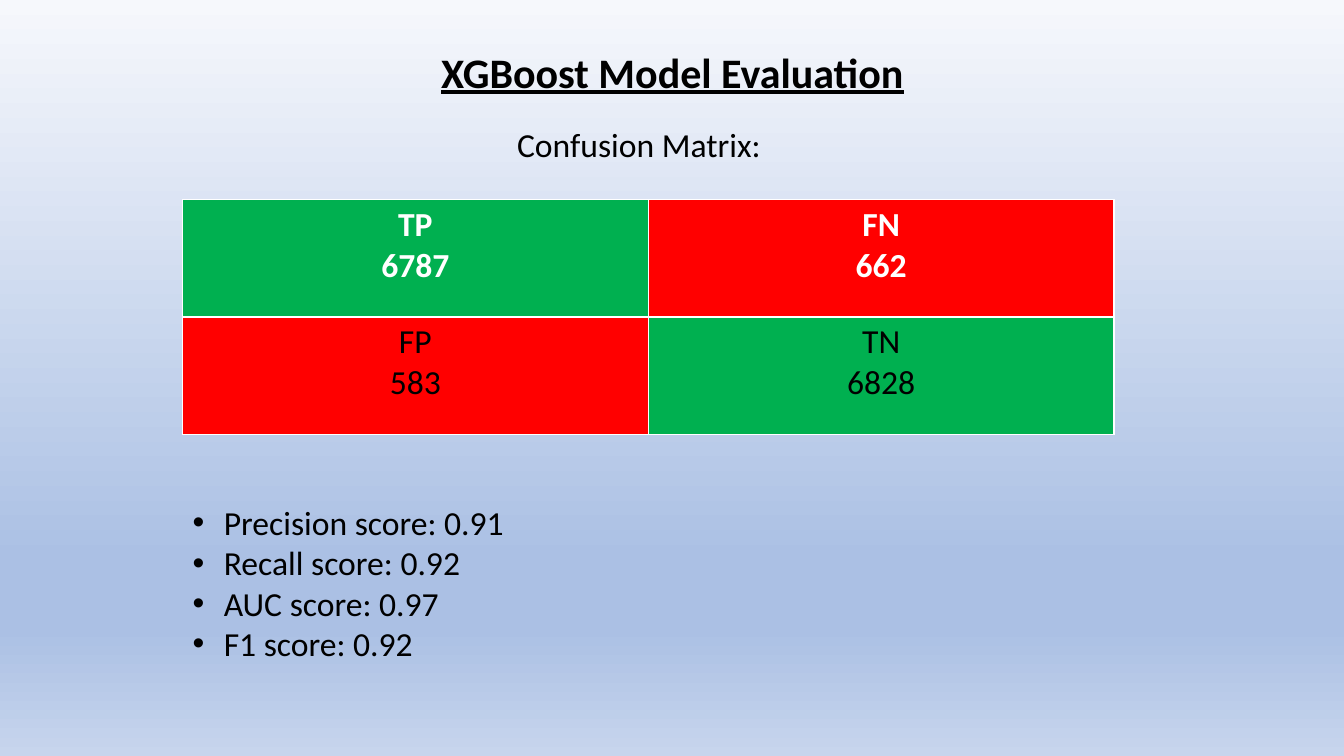
import pptx
import pptx.util
import pptx.dml.color
import pptx.enum.text
import lxml.etree
from pptx.oxml.ns import qn

# Content
TITLE = "XGBoost Model Evaluation"
LABEL = "Confusion Matrix:"
MATRIX = [[("TP", "6787"), ("FN", "662")],
          [("FP", "583"), ("TN", "6828")]]
SCORES = ["Precision score: 0.91", "Recall score: 0.92",
          "AUC score: 0.97", "F1 score: 0.92"]

# Look
WIDE, HIGH = 13.33, 7.5
RIGHT, WRONG = "00B050", "FF0000"
BLACK, WHITE = "000000", "FFFFFF"
STOPS = [(0, "F6F8FC"), (74, "ABC0E4"), (83, "ABC0E4"), (100, "C7D5ED")]
HEAD = {"size": 30, "bold": True, "underline": True}
LEFT = 1.81
AREAS = {"title": (0.92, 0.32, 11.5, 0.84), "label": (5.03, 1.18, 3.11, 0.5),
         "table": (LEFT, 1.98, 9.24, 2.33), "list": (LEFT, 4.93, 6.47, 1.72)}
INDENT = 0.31

inch = pptx.util.Inches
ALIGN = pptx.enum.text.PP_ALIGN
ANCHOR = pptx.enum.text.MSO_ANCHOR


def color(code):
    return pptx.dml.color.RGBColor.from_string(code)


def area(name):
    return [inch(n) for n in AREAS[name]]


def place(shape, name):
    for key, val in zip(("left", "top", "width", "height"), area(name)):
        setattr(shape, key, val)


def write(frame, lines, align=ALIGN.LEFT, tone=BLACK, space=1.0, **extra):
    style = {"name": "Calibri", "size": 24, "bold": False, **extra}
    frame.word_wrap = True
    frame.text = "\n".join(lines)
    for para in frame.paragraphs:
        para.alignment = align
        para.line_spacing = space
        para.space_before = pptx.util.Pt(0)
        font = para.runs[0].font
        for key, val in style.items():
            setattr(font, key, pptx.util.Pt(val) if key == "size" else val)
        font.color.rgb = color(tone)


def shade(slide):
    fill = slide.background.fill
    fill.gradient()
    fill.gradient_angle = 270
    stops = slide.background._cSld.find(".//" + qn("a:gsLst"))
    for old in list(stops):
        stops.remove(old)
    for share, code in STOPS:
        stop = lxml.etree.SubElement(stops, qn("a:gs"), pos=str(share * 1000))
        lxml.etree.SubElement(stop, qn("a:srgbClr"), val=code)


def bullet(para):
    props = para._p.get_or_add_pPr()
    props.set("marL", str(inch(INDENT)))
    props.set("indent", str(-inch(INDENT)))
    lxml.etree.SubElement(props, qn("a:buFont"), typeface="Arial")
    lxml.etree.SubElement(props, qn("a:buChar"), char="•")


def main():
    deck = pptx.Presentation()
    deck.slide_width, deck.slide_height = inch(WIDE), inch(HIGH)
    slide = deck.slides.add_slide(deck.slide_layouts[1])
    shade(slide)

    # Title and label
    title = slide.shapes.title
    place(title, "title")
    write(title.text_frame, [TITLE], ALIGN.CENTER, space=0.9, **HEAD)
    title.text_frame.vertical_anchor = ANCHOR.MIDDLE
    label = slide.shapes.add_textbox(*area("label"))
    write(label.text_frame, [LABEL])

    # Matrix: correct counts lie on the diagonal
    size = len(MATRIX)
    table = slide.shapes.add_table(size, size, *area("table")).table
    table.horz_banding = False
    for r, row in enumerate(MATRIX):
        for c, lines in enumerate(row):
            cell = table.cell(r, c)
            cell.fill.solid()
            cell.fill.fore_color.rgb = color(RIGHT if r == c else WRONG)
            write(cell.text_frame, lines, ALIGN.CENTER,
                  BLACK if r else WHITE, bold=r == 0)

    # Score list
    body = slide.placeholders[1]
    place(body, "list")
    write(body.text_frame, SCORES)
    body.text_frame.vertical_anchor = ANCHOR.TOP
    body.text_frame.auto_size = pptx.enum.text.MSO_AUTO_SIZE.NONE
    for para in body.text_frame.paragraphs:
        bullet(para)

    deck.save("out.pptx")


if __name__ == "__main__":
    main()
